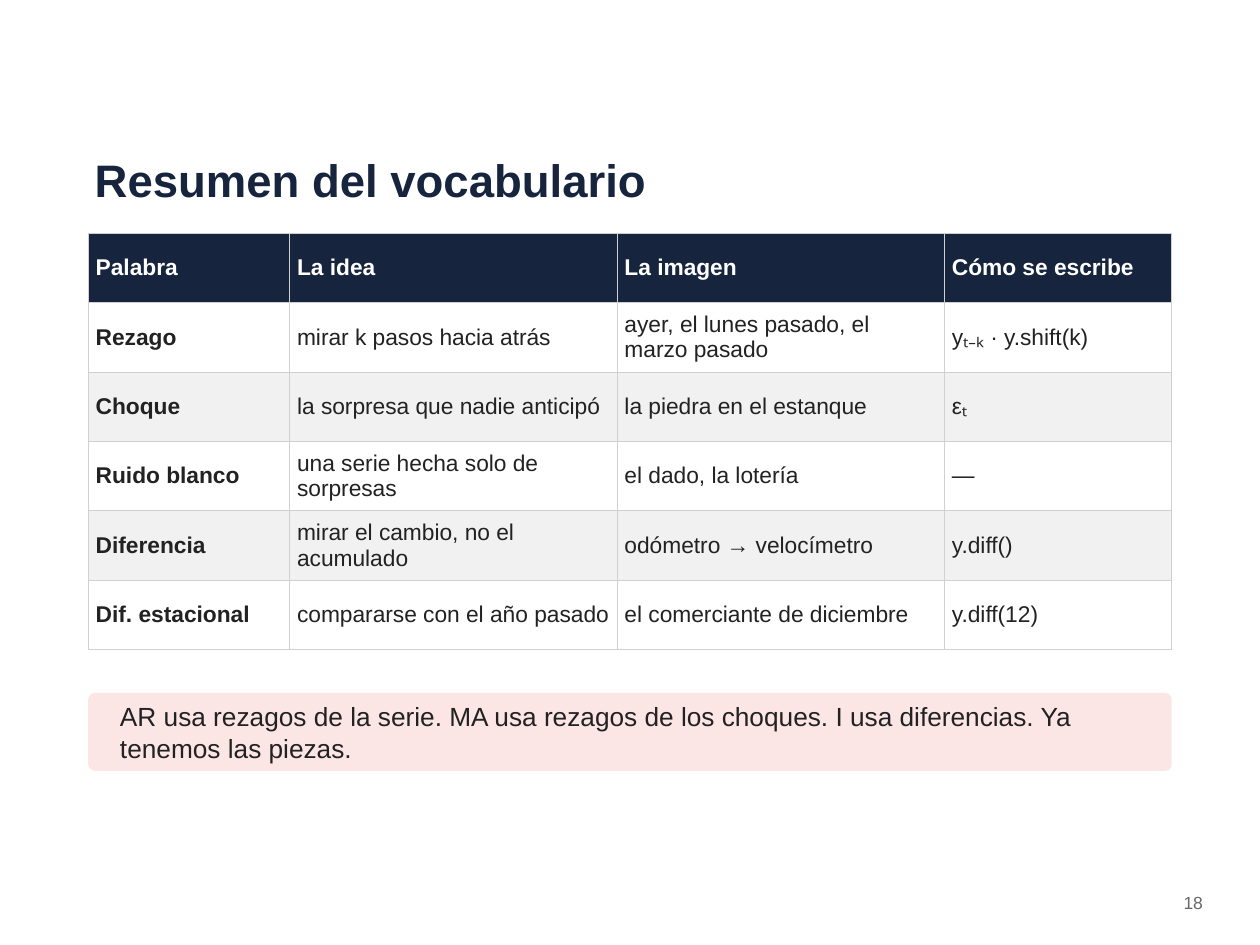
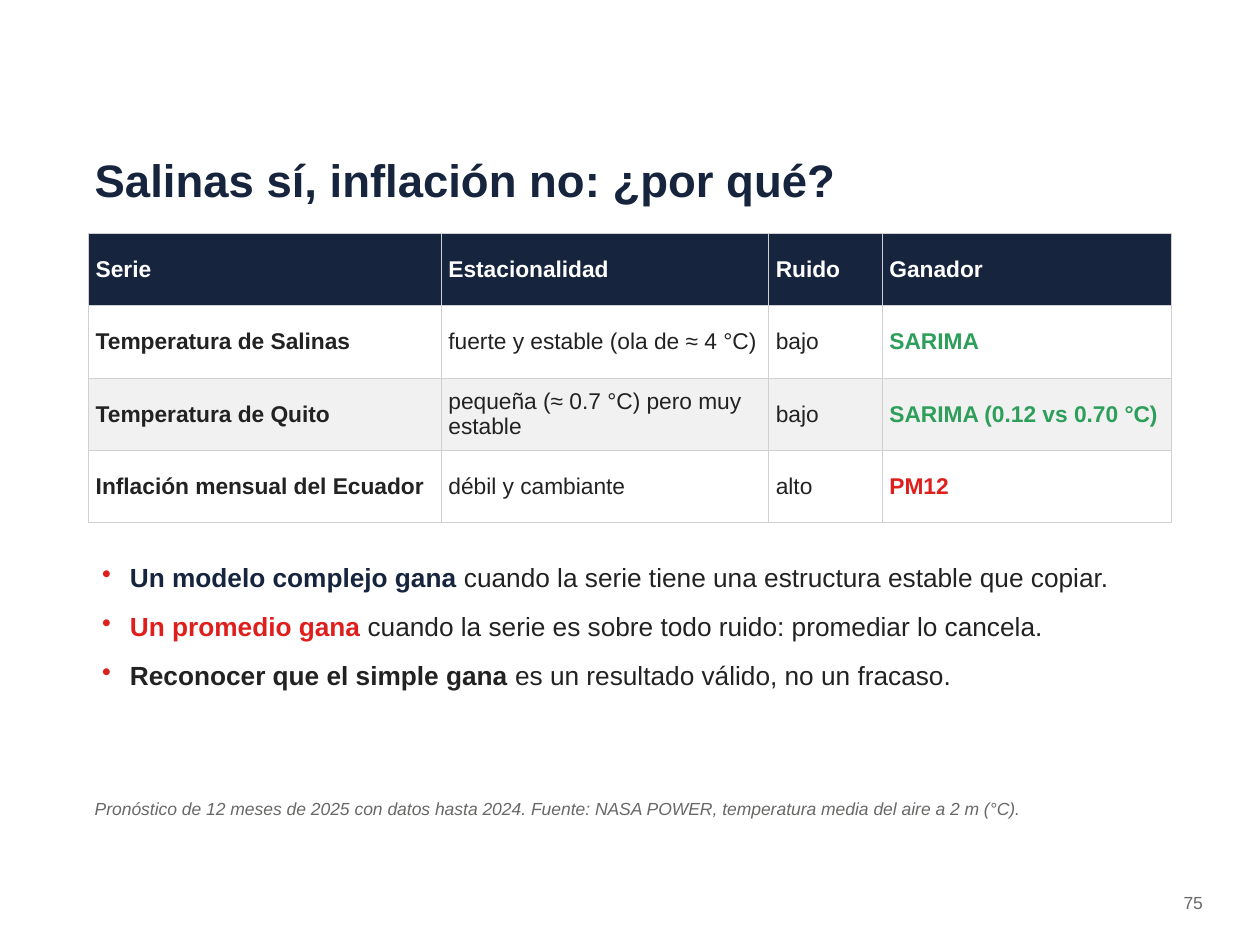
from lxml import etree
from pptx import Presentation
from pptx.dml.color import RGBColor
from pptx.enum import shapes, text
from pptx.oxml import ns
from pptx.util import Cm, Pt

FONT = "Arial"
NAVY, INK, GRAY = "16243D", "222222", "686867"
RED, GREEN, PINK = "DF1F1C", "2E9E5B", "FBE6E5"
WHITE, STRIPE, RULE = "FFFFFF", "F1F1F1", "D0D0D0"
LEFT, WIDTH = 1.78, 21.84
TABLE_TOP = 4.7


def color(hex_code):
    return RGBColor.from_string(hex_code)


def add_element(parent, tag, **attributes):
    values = {name: str(value) for name, value in attributes.items()}
    return etree.SubElement(parent, ns.qn(tag), values)


def write(paragraph, content, size=15, ink=INK, bold=False, italic=False):
    """Append one formatted run to the paragraph."""
    run = paragraph.add_run()
    run.text = content
    font = run.font
    font.name, font.size = FONT, Pt(size)
    font.bold, font.italic = bold, italic
    font.color.rgb = color(ink)


def set_margins(target, horizontal, vertical):
    target.margin_left = target.margin_right = Cm(horizontal)
    target.margin_top = target.margin_bottom = Cm(vertical)


def add_frame(slide, left, top, width, height, vertical=0.08, middle=False):
    box = slide.shapes.add_textbox(Cm(left), Cm(top), Cm(width), Cm(height))
    frame = box.text_frame
    frame.word_wrap = True
    set_margins(frame, 0.13, vertical)
    anchor = text.MSO_ANCHOR
    frame.vertical_anchor = anchor.MIDDLE if middle else anchor.TOP
    return frame


def add_text(slide, content, left, top, width, height, middle=False,
             align=text.PP_ALIGN.LEFT, **style):
    frame = add_frame(slide, left, top, width, height, middle=middle)
    paragraph = frame.paragraphs[0]
    paragraph.alignment = align
    paragraph.space_after = Pt(4)
    write(paragraph, content, **style)


def add_slide(presentation, title, number):
    """Add a blank slide with the shared title and page number."""
    slide = presentation.slides.add_slide(presentation.slide_layouts[6])
    add_text(slide, title, LEFT, 2.67, WIDTH, 1.9, middle=True,
             size=26, ink=NAVY, bold=True)
    add_text(slide, str(number), 22.86, 17.91, 1.52, 0.76,
             align=text.PP_ALIGN.RIGHT, size=10, ink=GRAY)
    return slide


def add_borders(cell):
    properties = cell._tc.get_or_add_tcPr()
    for side in ("a:lnL", "a:lnR", "a:lnT", "a:lnB"):
        line = add_element(properties, side, w=Pt(0.5))
        fill = add_element(line, "a:solidFill")
        add_element(fill, "a:srgbClr", val=RULE)


def fill_cell(cell, content, background, **style):
    set_margins(cell, 0.15, 0.08)
    cell.vertical_anchor = text.MSO_ANCHOR.MIDDLE
    add_borders(cell)
    cell.fill.solid()
    cell.fill.fore_color.rgb = color(background)
    write(cell.text_frame.paragraphs[0], content, size=13, **style)


def add_table(slide, rows, column_widths, row_height, highlights=None):
    """Add a striped table; highlights maps a cell's text to its colour."""
    highlights = highlights or {}
    table = slide.shapes.add_table(
        len(rows), len(column_widths), Cm(LEFT), Cm(TABLE_TOP),
        Cm(WIDTH), Cm(row_height * len(rows))).table
    table.horz_banding = False
    for column, width in zip(table.columns, column_widths):
        column.width = Cm(width)
    for i, row in enumerate(rows):
        table.rows[i].height = Cm(row_height)
        for j, content in enumerate(row):
            if i == 0:
                background, ink = NAVY, WHITE
            else:
                background = WHITE if i % 2 else STRIPE
                ink = highlights.get(content, INK)
            bold = i == 0 or j == 0 or content in highlights
            fill_cell(table.cell(i, j), content, background,
                      ink=ink, bold=bold)


def add_callout(slide, content, top, height):
    band = slide.shapes.add_shape(
        shapes.MSO_SHAPE.ROUNDED_RECTANGLE,
        Cm(LEFT), Cm(top), Cm(WIDTH), Cm(height))
    band.adjustments[0] = 0.08
    band.shadow.inherit = False
    band.fill.solid()
    band.fill.fore_color.rgb = color(PINK)
    band.line.fill.background()
    inset = 0.51
    add_text(slide, content, LEFT + inset, top, WIDTH - 2 * inset, height,
             middle=True)


def add_bullet(paragraph):
    properties = paragraph._p.get_or_add_pPr()
    properties.set("marL", str(Cm(0.71)))
    properties.set("indent", str(Cm(-0.56)))
    bullet_color = add_element(properties, "a:buClr")
    add_element(bullet_color, "a:srgbClr", val=RED)
    add_element(properties, "a:buChar", char="•")


def add_bullets(slide, items, top, height):
    """Add bullets given as (bold lead, lead colour, rest)."""
    frame = add_frame(slide, LEFT, top, WIDTH, height, vertical=0.13)
    for i, (lead, ink, rest) in enumerate(items):
        paragraph = frame.add_paragraph() if i else frame.paragraphs[0]
        add_bullet(paragraph)
        paragraph.space_after = Pt(10)
        write(paragraph, lead + " ", ink=ink, bold=True)
        write(paragraph, rest)


def build_vocabulary(presentation):
    slide = add_slide(presentation, "Resumen del vocabulario", 18)
    rows = [
        ("Palabra", "La idea", "La imagen", "Cómo se escribe"),
        ("Rezago", "mirar k pasos hacia atrás",
         "ayer, el lunes pasado, el marzo pasado", "yₜ₋ₖ · y.shift(k)"),
        ("Choque", "la sorpresa que nadie anticipó",
         "la piedra en el estanque", "εₜ"),
        ("Ruido blanco", "una serie hecha solo de sorpresas",
         "el dado, la lotería", "—"),
        ("Diferencia", "mirar el cambio, no el acumulado",
         "odómetro → velocímetro", "y.diff()"),
        ("Dif. estacional", "compararse con el año pasado",
         "el comerciante de diciembre", "y.diff(12)"),
    ]
    add_table(slide, rows, (4.06, 6.6, 6.6, 4.57), 1.4)
    add_callout(slide, "AR usa rezagos de la serie. MA usa rezagos de los "
                "choques. I usa diferencias. Ya tenemos las piezas.",
                13.97, 1.57)


def build_comparison(presentation):
    slide = add_slide(presentation, "Salinas sí, inflación no: ¿por qué?", 75)
    rows = [
        ("Serie", "Estacionalidad", "Ruido", "Ganador"),
        ("Temperatura de Salinas", "fuerte y estable (ola de ≈ 4 °C)",
         "bajo", "SARIMA"),
        ("Temperatura de Quito", "pequeña (≈ 0.7 °C) pero muy estable",
         "bajo", "SARIMA (0.12 vs 0.70 °C)"),
        ("Inflación mensual del Ecuador", "débil y cambiante",
         "alto", "PM12"),
    ]
    winners = {"SARIMA": GREEN, "SARIMA (0.12 vs 0.70 °C)": GREEN,
               "PM12": RED}
    add_table(slide, rows, (7.11, 6.6, 2.29, 5.84), 1.46, winners)
    add_bullets(slide, [
        ("Un modelo complejo gana", NAVY,
         "cuando la serie tiene una estructura estable que copiar."),
        ("Un promedio gana", RED,
         "cuando la serie es sobre todo ruido: promediar lo cancela."),
        ("Reconocer que el simple gana", INK,
         "es un resultado válido, no un fracaso."),
    ], 11.18, 4.06)
    add_text(slide, "Pronóstico de 12 meses de 2025 con datos hasta 2024. "
             "Fuente: NASA POWER, temperatura media del aire a 2 m (°C).",
             LEFT, 16, WIDTH, 0.76, size=10, ink=GRAY, italic=True)


def main():
    presentation = Presentation()
    presentation.slide_width = Cm(25.4)
    presentation.slide_height = Cm(19.05)
    build_vocabulary(presentation)
    build_comparison(presentation)
    presentation.save("out.pptx")


if __name__ == "__main__":
    main()
